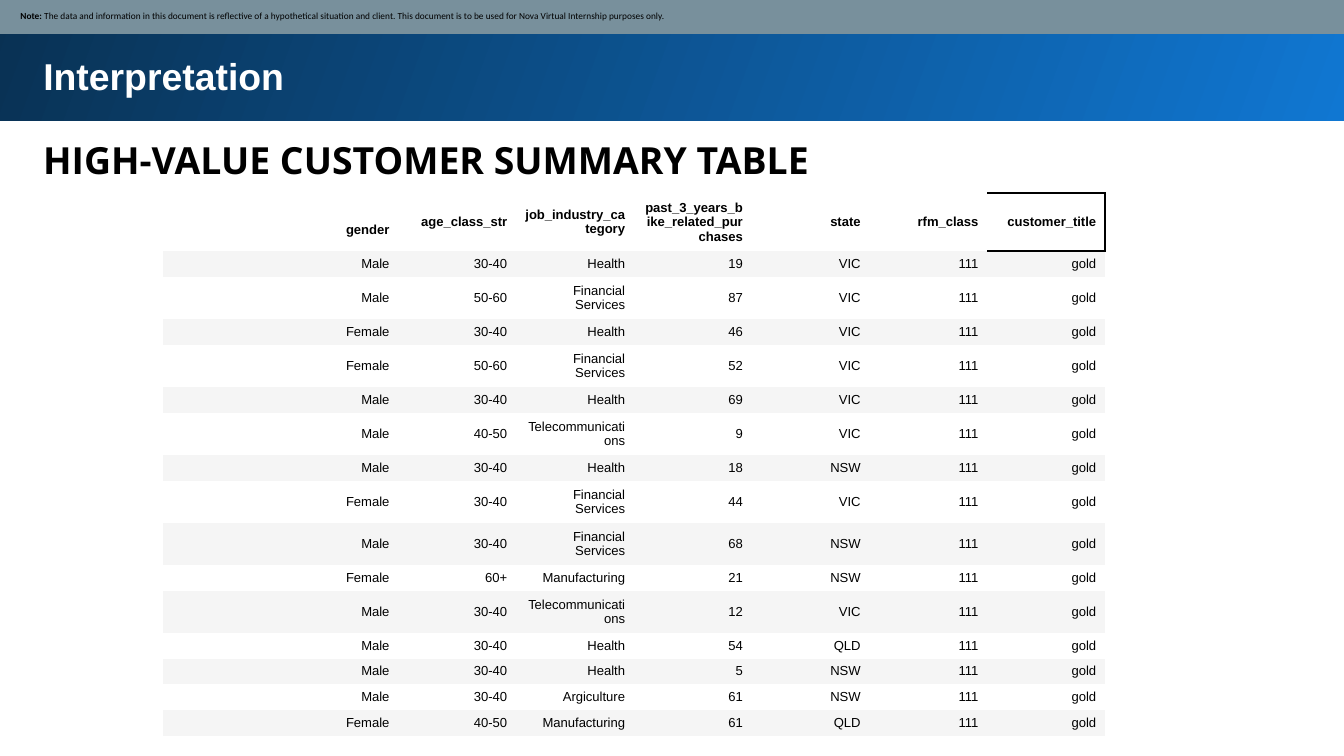
from dataclasses import dataclass

from lxml.etree import SubElement
from pptx import Presentation
from pptx.dml.color import RGBColor
from pptx.enum.shapes import MSO_SHAPE
from pptx.enum.text import MSO_ANCHOR, MSO_AUTO_SIZE, PP_ALIGN
from pptx.oxml.ns import qn
from pptx.util import Pt


@dataclass(frozen=True)
class Theme:
    black: str = "000000"
    white: str = "FFFFFF"
    banner_bright: str = "1077D2"
    banner_dark: str = "093153"
    note_bar: str = "78909C"
    row_band: str = "F5F5F5"
    body_font: str = "Arial"
    heading_font: str = "Open Sans"
    note_font: str = "Calibri"
    heading_size: float = 20
    table_size: float = 7
    note_size: float = 5
    plain_table_style: str = "{2D5ABB26-0587-4C30-8999-92F81FD0307C}"


class SlideBuilder:
    def __init__(self, slide, theme):
        self.slide = slide
        self.theme = theme

    def style(self, paragraph, font, size, color, bold=None, align=PP_ALIGN.LEFT):
        paragraph.alignment = align
        paragraph.font.name = font
        paragraph.font.size = Pt(size)
        paragraph.font.color.rgb = RGBColor.from_string(color)
        paragraph.font.bold = bold

    def insets(self, target, left, top, right, bottom):
        target.margin_left, target.margin_top = Pt(left), Pt(top)
        target.margin_right, target.margin_bottom = Pt(right), Pt(bottom)

    def bar(self, left, top, width, height):
        shape = self.slide.shapes.add_shape(
            MSO_SHAPE.RECTANGLE, Pt(left), Pt(top), Pt(width), Pt(height))
        shape.shadow.inherit = False
        shape.line.fill.background()
        return shape

    def banner(self, left, top, width, height):
        shape = self.bar(left, top, width, height)
        shape.fill.gradient()
        shape.fill.gradient_angle = 160
        colors = (self.theme.banner_bright, self.theme.banner_dark)
        for stop, color, position in zip(shape.fill.gradient_stops, colors, (0, 1)):
            stop.color.rgb = RGBColor.from_string(color)
            stop.position = position
        # The title placeholder stays in front of the banner
        self.slide.shapes.title.element.addprevious(shape.element)

    def heading(self, shape, text, font, color):
        frame = shape.text_frame
        frame.word_wrap = True
        frame.auto_size = MSO_AUTO_SIZE.NONE
        frame.vertical_anchor = MSO_ANCHOR.TOP
        self.insets(frame, 7.2, 7.2, 7.2, 7.2)
        frame.text = text
        paragraph = frame.paragraphs[0]
        self.style(paragraph, font, self.theme.heading_size, color, True)
        return paragraph

    def title(self, text, left, top, width, height):
        shape = self.slide.shapes.title
        shape.left, shape.top = Pt(left), Pt(top)
        shape.width, shape.height = Pt(width), Pt(height)
        self.heading(shape, text, self.theme.body_font, self.theme.white)

    def subtitle(self, text, left, top, width, height):
        shape = self.slide.shapes.add_textbox(Pt(left), Pt(top), Pt(width), Pt(height))
        paragraph = self.heading(shape, text, self.theme.heading_font, self.theme.black)
        paragraph.line_spacing = 1.15

    def note(self, label, text, left, top, width, height):
        shape = self.bar(left, top, width, height)
        shape.fill.solid()
        shape.fill.fore_color.rgb = RGBColor.from_string(self.theme.note_bar)
        frame = shape.text_frame
        frame.word_wrap = True
        frame.vertical_anchor = MSO_ANCHOR.MIDDLE
        self.insets(frame, 11.7, 3.6, 3.6, 3.6)
        paragraph = frame.paragraphs[0]
        self.style(paragraph, self.theme.note_font, self.theme.note_size, self.theme.black)
        for words, bold in ((label, True), (text, False)):
            run = paragraph.add_run()
            run.text = words
            run.font.bold = bold

    def cell(self, cell, text, bold, fill):
        cell.vertical_anchor = MSO_ANCHOR.MIDDLE
        self.insets(cell, 4.8, 2.4, 4.8, 2.4)
        cell.text = text
        paragraph = cell.text_frame.paragraphs[0]
        self.style(paragraph, self.theme.body_font, self.theme.table_size,
                   self.theme.black, bold, PP_ALIGN.RIGHT)
        if not text:
            end = SubElement(paragraph._p, qn("a:endParaRPr"))
            end.set("sz", str(int(self.theme.table_size * 100)))
        if fill:
            cell.fill.solid()
            cell.fill.fore_color.rgb = RGBColor.from_string(fill)
        else:
            cell.fill.background()

    def border(self, cell, sides, width):
        properties = cell._tc.get_or_add_tcPr()
        for index, side in enumerate(sides):
            line = properties.makeelement(qn(f"a:ln{side}"), {"w": str(Pt(width))})
            fill = SubElement(line, qn("a:solidFill"))
            SubElement(fill, qn("a:srgbClr")).set("val", self.theme.black)
            properties.insert(index, line)

    def table(self, rows, heights, left, top, column_width):
        count = len(rows[0])
        table = self.slide.shapes.add_table(
            len(rows), count, Pt(left), Pt(top),
            Pt(column_width * count), Pt(sum(heights))).table
        table.first_row = table.horz_banding = False
        table._tbl.tblPr.find(qn("a:tableStyleId")).text = self.theme.plain_table_style
        for column in table.columns:
            column.width = Pt(column_width)
        for index, (values, height) in enumerate(zip(rows, heights)):
            table.rows[index].height = Pt(height)
            fill = self.theme.row_band if index % 2 else None
            for cell, value in zip(table.rows[index].cells, values):
                self.cell(cell, value, index == 0, fill)
        return table


# Customer data: gender, age class, industry, purchases, state
HEADER = ["", "gender", "age_class_str", "job_industry_category",
          "past_3_years_bike_related_purchases", "state", "rfm_class", "customer_title"]
CUSTOMERS = [
    ("Male", "30-40", "Health", "19", "VIC"),
    ("Male", "50-60", "Financial Services", "87", "VIC"),
    ("Female", "30-40", "Health", "46", "VIC"),
    ("Female", "50-60", "Financial Services", "52", "VIC"),
    ("Male", "30-40", "Health", "69", "VIC"),
    ("Male", "40-50", "Telecommunications", "9", "VIC"),
    ("Male", "30-40", "Health", "18", "NSW"),
    ("Female", "30-40", "Financial Services", "44", "VIC"),
    ("Male", "30-40", "Financial Services", "68", "NSW"),
    ("Female", "60+", "Manufacturing", "21", "NSW"),
    ("Male", "30-40", "Telecommunications", "12", "VIC"),
    ("Male", "30-40", "Health", "54", "QLD"),
    ("Male", "30-40", "Health", "5", "NSW"),
    ("Male", "30-40", "Argiculture", "61", "NSW"),
    ("Female", "40-50", "Manufacturing", "61", "QLD"),
]
TWO_LINE_INDUSTRIES = {"Financial Services", "Telecommunications"}

presentation = Presentation()
presentation.slide_width, presentation.slide_height = Pt(720), Pt(405)
builder = SlideBuilder(
    presentation.slides.add_slide(presentation.slide_layouts[5]), Theme())

# Banner and headings
builder.banner(-1.5, -1.5, 723.5, 66.3)
builder.title("Interpretation", 16, 21, 675, 60)
builder.subtitle("HIGH-VALUE CUSTOMER SUMMARY TABLE", 16, 62.8, 675, 40)

# Note bar
builder.note(
    "Note: ",
    "The data and information in this document is reflective of a hypothetical "
    "situation and client. This document is to be used for Nova Virtual Internship "
    "purposes only.",
    -0.8, -0.8, 722, 19)

# Customer table
rows = [HEADER] + [["", *customer, "111", "gold"] for customer in CUSTOMERS]
heights = [31.2] + [22.6 if customer[2] in TWO_LINE_INDUSTRIES else 13.8
                    for customer in CUSTOMERS]
customer_table = builder.table(rows, heights, 87.2, 103.4, 63.1)
customer_table.cell(0, 1).margin_top = Pt(10.4)
builder.border(customer_table.cell(0, 7), "RTB", 1)

presentation.save("out.pptx")
